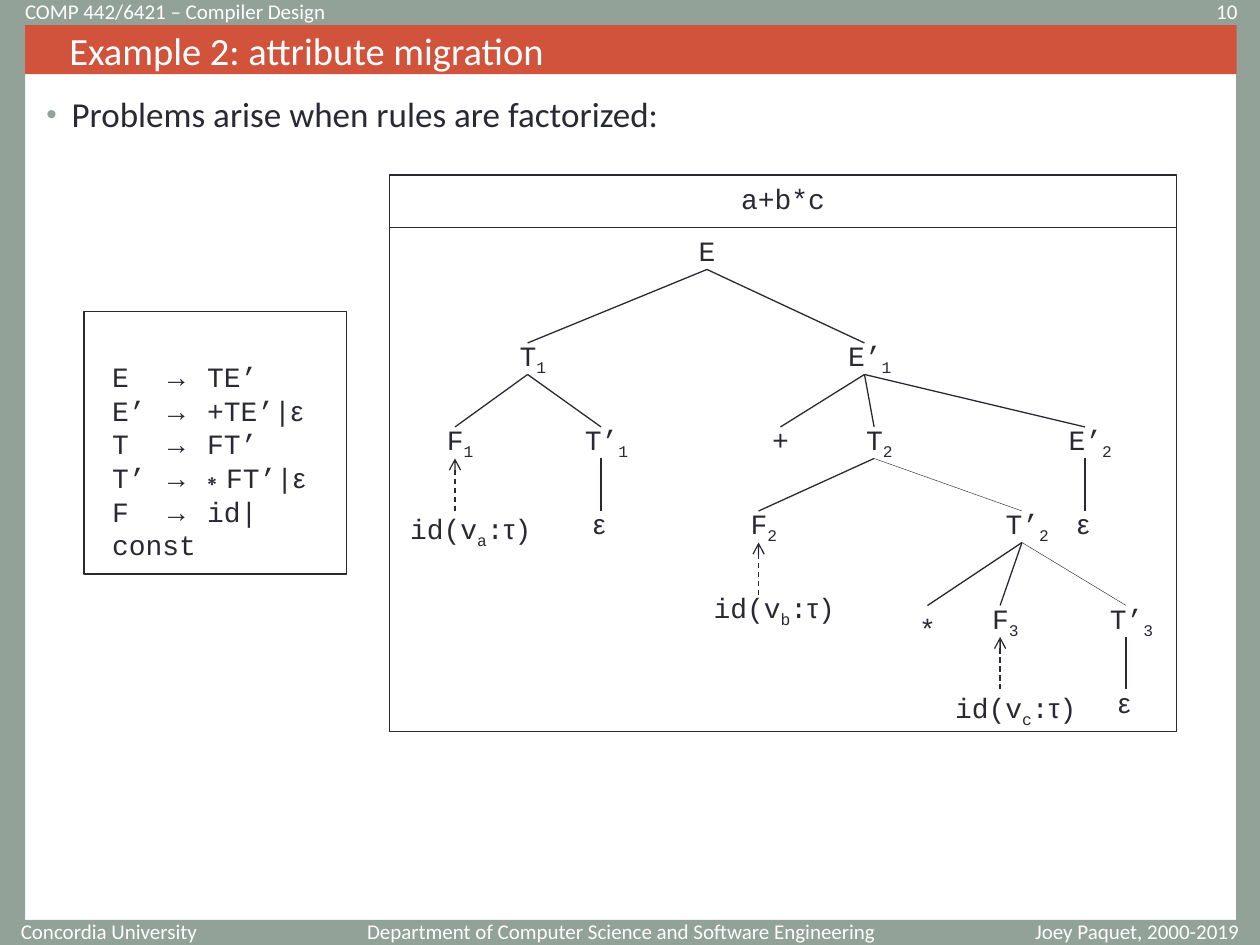
from collections import namedtuple

from lxml import etree
from pptx import Presentation
from pptx.dml.color import RGBColor
from pptx.enum.dml import MSO_LINE
from pptx.enum.shapes import MSO_CONNECTOR, MSO_SHAPE
from pptx.enum.text import MSO_ANCHOR, PP_ALIGN
from pptx.oxml.ns import qn
from pptx.util import Pt

SAGE = RGBColor(0x93, 0xA2, 0x99)
RED = RGBColor(0xD2, 0x53, 0x3C)
INK = RGBColor(0x29, 0x29, 0x34)
WHITE = RGBColor(0xFF, 0xFF, 0xFF)
BODY, CODE, SYMBOL = "Calibri", "Courier New", "Arial"
LEFT, CENTER, RIGHT = PP_ALIGN.LEFT, PP_ALIGN.CENTER, PP_ALIGN.RIGHT
TOP, MIDDLE = MSO_ANCHOR.TOP, MSO_ANCHOR.MIDDLE
RECTANGLE, STRAIGHT, DASH = MSO_SHAPE.RECTANGLE, MSO_CONNECTOR.STRAIGHT, MSO_LINE.DASH

CHAR_WIDTH, SUBSCRIPT_WIDTH, INSETS = 9.6, 5.6, 14.4
NODE_HEIGHT = 18

Run = namedtuple("Run", "text font subscript", defaults=(None, False))
Node = namedtuple("Node", "runs x top parent shift drop weight", defaults=(None, 0, 0, 0.75))


def add_rectangle(slide, box, fill=None, line=None):
    rectangle = slide.shapes.add_shape(RECTANGLE, *map(Pt, box))
    rectangle.shadow.inherit = False
    if fill is None:
        rectangle.fill.background()
    else:
        rectangle.fill.solid()
        rectangle.fill.fore_color.rgb = fill
    if line is None:
        rectangle.line.fill.background()
    else:
        rectangle.line.color.rgb = line
        rectangle.line.width = Pt(0.75)
    return rectangle


def add_bullet(paragraph, character, indent):
    properties = paragraph._p.get_or_add_pPr()
    properties.set("marL", str(Pt(indent)))
    properties.set("indent", str(-Pt(indent)))
    color = etree.SubElement(properties, qn("a:buClr"))
    etree.SubElement(color, qn("a:srgbClr"), val=str(SAGE))
    etree.SubElement(properties, qn("a:buSzPct"), val="85000")
    etree.SubElement(properties, qn("a:buFont"), typeface=SYMBOL)
    etree.SubElement(properties, qn("a:buChar"), char=character)


def write_text(shape, paragraphs, size=16, font=CODE, color=INK, align=LEFT,
               anchor=TOP, wrap=True, left_inset=7.2, bullet=None):
    frame = shape.text_frame
    frame.word_wrap = wrap
    frame.vertical_anchor = anchor
    frame.margin_left, frame.margin_right = Pt(left_inset), Pt(7.2)
    frame.margin_top = frame.margin_bottom = Pt(3.6)
    for index, runs in enumerate(paragraphs):
        paragraph = frame.add_paragraph() if index else frame.paragraphs[0]
        paragraph.alignment = align
        if bullet:
            add_bullet(paragraph, bullet, 14.4)
        for part in runs:
            run = paragraph.add_run()
            run.text = part.text
            run.font.name = part.font or font
            run.font.size = Pt(size)
            run.font.color.rgb = color
            if part.subscript:
                run.font._element.set("baseline", "-25000")


def add_label(slide, box, paragraphs, **text_format):
    write_text(slide.shapes.add_textbox(*map(Pt, box)), paragraphs, **text_format)


def add_branch(slide, start, end, weight, arrow):
    branch = slide.shapes.add_connector(STRAIGHT, *map(Pt, start + end))
    branch.line.color.rgb = INK
    branch.line.width = Pt(weight)
    if arrow:
        branch.line.dash_style = DASH
        etree.SubElement(branch.line._get_or_add_ln(), qn("a:headEnd"), type="arrow")
    etree.SubElement(branch._element.spPr, qn("a:effectLst"))


def draw_frame(slide, width, height):
    for box in ((0, 0, width, 14.4), (0, height - 14.4, width, 14.4),
                (0, 0, 14.4, height), (width - 13.7, 0, 13.7, height)):
        add_rectangle(slide, box, fill=SAGE)
    header, footer = 2.2, height - 12.2
    for text, left, top, label_width, align in (
            ("COMP 442/6421 – Compiler Design", 7.2, header, 403, LEFT),
            ("10", 630, header, 84.2, RIGHT),
            ("Concordia University", 0, footer, 119.7, RIGHT),
            ("Department of Computer Science and Software Engineering", 190, footer, 317.6, RIGHT),
            ("Joey Paquet, 2000-2019", 575.3, footer, 149, CENTER)):
        add_label(slide, (left, top, label_width, 8.6), [[Run(text)]], size=12,
                  font=BODY, color=WHITE, align=align, anchor=MIDDLE)


def draw_heading(slide, left, top, width):
    title = add_rectangle(slide, (left, top, width, 28), fill=RED)
    write_text(title, [[Run("Example 2: attribute migration")]], size=22, font=BODY,
               color=WHITE, anchor=MIDDLE, left_inset=25.2)
    add_label(slide, (left + 5, top + 35, width - 12, 40),
              [[Run("Problems arise when rules are factorized:")]],
              size=20, font=BODY, bullet="•")


def draw_grammar(slide, left, top, side):
    add_rectangle(slide, (left, top, side, side), line=INK)
    arrow, epsilon = Run("→", SYMBOL), Run("ε", SYMBOL)
    rules = [
        [Run("E  "), arrow, Run(" TE’")],
        [Run("E’ "), arrow, Run(" +TE’|"), epsilon],
        [Run("T  "), arrow, Run(" FT’")],
        [Run("T’ "), Run("→ ∗", SYMBOL), Run("FT’|"), epsilon],
        [Run("F  "), arrow, Run(" id|const")],
    ]
    add_label(slide, (left + 9, top + 24, side - 7.5, 104), rules)


def symbol(name, subscript, x, top, parent, **options):
    runs = [Run(name), Run(subscript, None, True)]
    return Node(runs, x, top, parent, shift=3, **options)


def identifier(subscript, x, top, parent, drop=0):
    runs = [Run("id(v"), Run(subscript, None, True), Run(":"), Run("τ", SYMBOL), Run(")")]
    return Node(runs, x, top, parent, shift=9, drop=drop)


def empty(x, top, parent):
    return Node([Run("ε", SYMBOL)], x, top, parent, shift=-1)


def draw_tree(slide, left, top, width, height):
    heading_height = 30
    heading = add_rectangle(slide, (left, top, width, heading_height), line=INK)
    write_text(heading, [[Run("a+b*c")]], align=CENTER)
    body_top = top + heading_height
    add_rectangle(slide, (left, body_top, width, height - heading_height), line=INK)

    nodes = {
        "E": Node([Run("E")], 181.5, 6),
        "T1": symbol("T", "1", 79, 66, "E"),
        "E1": symbol("E’", "1", 271.5, 66, "E"),
        "F1": symbol("F", "1", 37.5, 114, "T1"),
        "T'1": symbol("T’", "1", 121, 114, "T1"),
        "plus": Node([Run("+")], 223.5, 114, "E1"),
        "T2": symbol("T", "2", 277, 114, "E1"),
        "E2": symbol("E’", "2", 397.5, 114, "E1"),
        "id a": identifier("a", 37.5, 162, "F1", drop=3),
        "empty T'1": empty(121, 162, "T'1"),
        "F2": symbol("F", "2", 211, 162, "T2"),
        "T'2": symbol("T’", "2", 361.5, 162, "T2", weight=0.25),
        "empty E2": empty(397.5, 162, "E2"),
        "id b": identifier("b", 211, 210, "F2"),
        "times": Node([Run("*")], 307.5, 216, "T'2", drop=6),
        "F3": symbol("F", "3", 349, 216, "T'2"),
        "T'3": symbol("T’", "3", 421, 216, "T'2", weight=0.25),
        "id c": identifier("c", 349, 264, "F3", drop=3),
        "empty T'3": empty(421, 264, "T'3"),
    }
    for name, node in nodes.items():
        x, y = left + node.x, body_top + node.top
        label_width = INSETS + sum(
            SUBSCRIPT_WIDTH if run.subscript else CHAR_WIDTH * len(run.text)
            for run in node.runs)
        add_label(slide, (x + node.shift - label_width / 2, y - 6 + node.drop, label_width, 26.6),
                  [node.runs], align=CENTER, wrap=False)
        if node.parent:
            parent = nodes[node.parent]
            start = (left + parent.x, body_top + parent.top + NODE_HEIGHT)
            add_branch(slide, start, (x, y), node.weight, name.startswith("id"))


def main():
    presentation = Presentation()
    presentation.slide_width, presentation.slide_height = Pt(720), Pt(540)
    slide = presentation.slides.add_slide(presentation.slide_layouts[6])
    draw_frame(slide, 720, 540)
    draw_heading(slide, 14.4, 14.4, 692.3)
    draw_grammar(slide, 48, 178, 150)
    draw_tree(slide, 222.5, 100, 450, 318)
    presentation.save("out.pptx")


if __name__ == "__main__":
    main()
